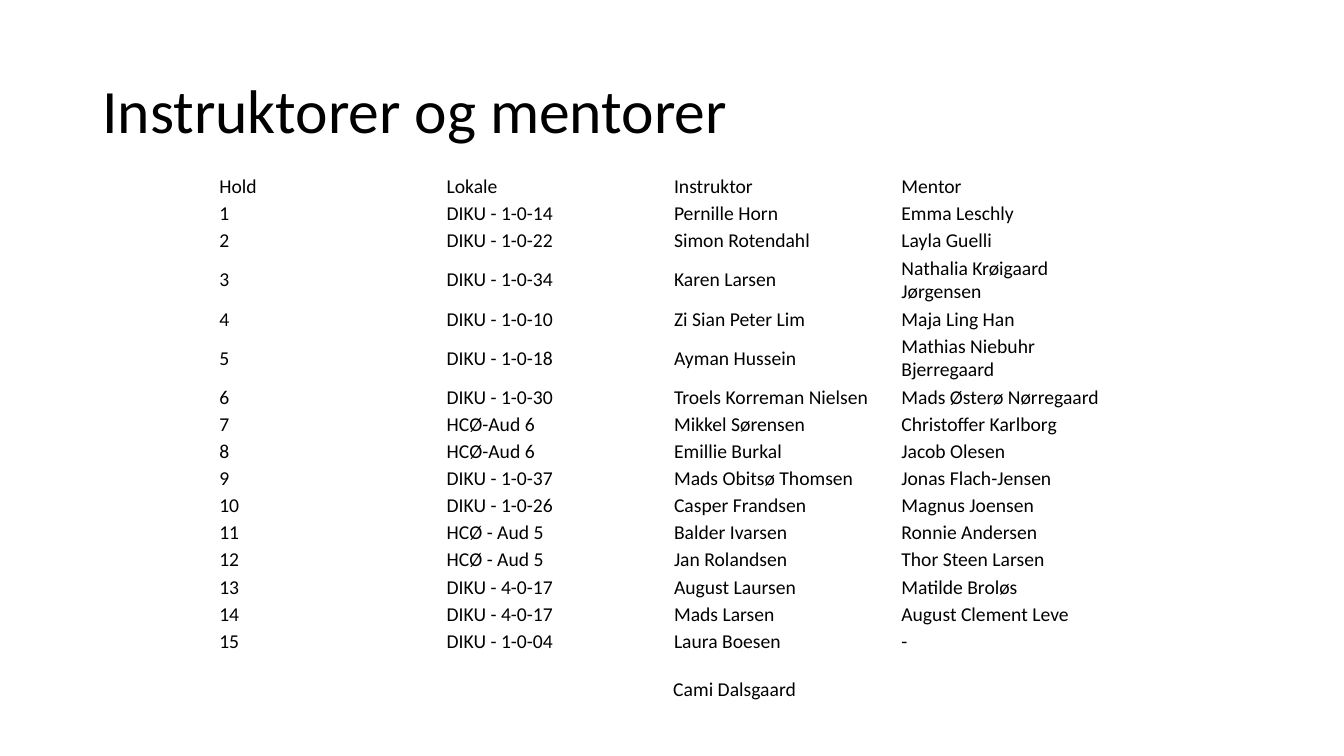
from pptx import Presentation
from pptx.dml.color import RGBColor
from pptx.enum.text import MSO_ANCHOR, MSO_AUTO_SIZE
from pptx.oxml.ns import qn
from pptx.util import Pt

MIDDLE = MSO_ANCHOR.MIDDLE
FIT_SHAPE = MSO_AUTO_SIZE.SHAPE_TO_FIT_TEXT
BLACK = RGBColor(0x00, 0x00, 0x00)
FONT = "Calibri"
NO_STYLE_NO_GRID = "{2D5ABB26-0587-4C30-8999-92F81FD0307C}"

TITLE = "Instruktorer og mentorer"
EXTRA_INSTRUCTOR = "Cami Dalsgaard"
HEADER = ("Hold", "Lokale", "Instruktor", "Mentor")
CLASSES = [
    ("DIKU - 1-0-14", "Pernille Horn", "Emma Leschly"),
    ("DIKU - 1-0-22", "Simon Rotendahl", "Layla Guelli"),
    ("DIKU - 1-0-34", "Karen Larsen", "Nathalia Krøigaard Jørgensen"),
    ("DIKU - 1-0-10", "Zi Sian Peter Lim", "Maja Ling Han"),
    ("DIKU - 1-0-18", "Ayman Hussein", "Mathias Niebuhr Bjerregaard"),
    ("DIKU - 1-0-30", "Troels Korreman Nielsen", "Mads Østerø Nørregaard"),
    ("HCØ-Aud 6", "Mikkel Sørensen", "Christoffer Karlborg"),
    ("HCØ-Aud 6", "Emillie Burkal", "Jacob Olesen"),
    ("DIKU - 1-0-37", "Mads Obitsø Thomsen", "Jonas Flach-Jensen"),
    ("DIKU - 1-0-26", "Casper Frandsen", "Magnus Joensen"),
    ("HCØ - Aud 5", "Balder Ivarsen", "Ronnie Andersen"),
    ("HCØ - Aud 5", "Jan Rolandsen", "Thor Steen Larsen"),
    ("DIKU - 4-0-17", "August Laursen", "Matilde Broløs"),
    ("DIKU - 4-0-17", "Mads Larsen", "August Clement Leve"),
    ("DIKU - 1-0-04", "Laura Boesen", "-"),
]

TABLE_LEFT, TABLE_TOP = 155.5, 123.8
COLUMN_WIDTH = 162.4
ROW_HEIGHT, TWO_LINE_HEIGHT = 19.4, 36.4
LONGEST_ONE_LINE = 24
CELL_MARGIN = 1.15


def write(frame, text, size=14, line_spacing=None):
    para = frame.paragraphs[0]
    para.line_spacing = line_spacing
    span = para.add_run()
    span.text = text
    span.font.size = Pt(size)
    span.font.name = FONT
    span.font.color.rgb = BLACK


def add_text(page, left, top, width, height, text, wrap=True, **text_format):
    box = page.shapes.add_textbox(Pt(left), Pt(top), Pt(width), Pt(height))
    box.text_frame.word_wrap = wrap
    write(box.text_frame, text, **text_format)
    return box


def row_height(row):
    """Rows whose longest entry wraps get room for two lines."""
    longest = max(len(entry) for entry in row)
    return TWO_LINE_HEIGHT if longest > LONGEST_ONE_LINE else ROW_HEIGHT


def add_class_table(page):
    rows = [HEADER] + [(str(number), *entry) for number, entry in enumerate(CLASSES, 1)]
    heights = [row_height(row) for row in rows]
    frame = page.shapes.add_table(
        len(rows), len(HEADER), Pt(TABLE_LEFT), Pt(TABLE_TOP),
        Pt(COLUMN_WIDTH * len(HEADER)), Pt(sum(heights)))
    table = frame.table
    table.first_row = table.horz_banding = False
    table._tbl.tblPr.find(qn("a:tableStyleId")).text = NO_STYLE_NO_GRID

    for column in table.columns:
        column.width = Pt(COLUMN_WIDTH)
    for row_index, (row, height) in enumerate(zip(rows, heights)):
        table.rows[row_index].height = Pt(height)
        for column_index, text in enumerate(row):
            cell = table.cell(row_index, column_index)
            cell.fill.background()
            cell.vertical_anchor = MIDDLE
            cell.margin_left = cell.margin_right = Pt(CELL_MARGIN)
            cell.margin_top = cell.margin_bottom = Pt(CELL_MARGIN)
            write(cell.text_frame, text)


def main():
    deck = Presentation()
    deck.slide_width, deck.slide_height = Pt(960), Pt(540)
    page = deck.slides.add_slide(deck.slide_layouts[6])

    add_class_table(page)
    extra = add_text(page, 473.8, 480.2, 103, 24.2, EXTRA_INSTRUCTOR, wrap=False)
    extra.text_frame.auto_size = FIT_SHAPE
    title = add_text(page, 66, 28.75, 828, 104.4, TITLE, size=44, line_spacing=0.9)
    title.text_frame.vertical_anchor = MIDDLE

    deck.save("out.pptx")


if __name__ == "__main__":
    main()
